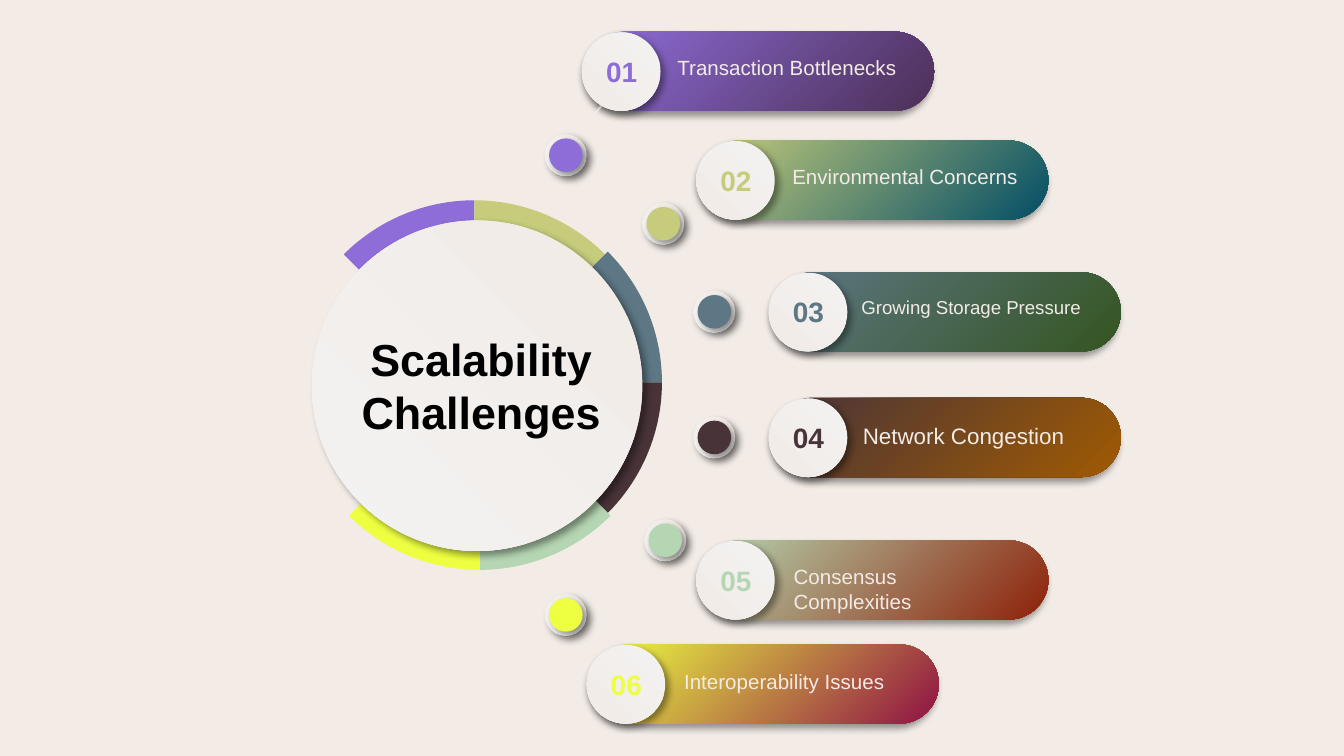
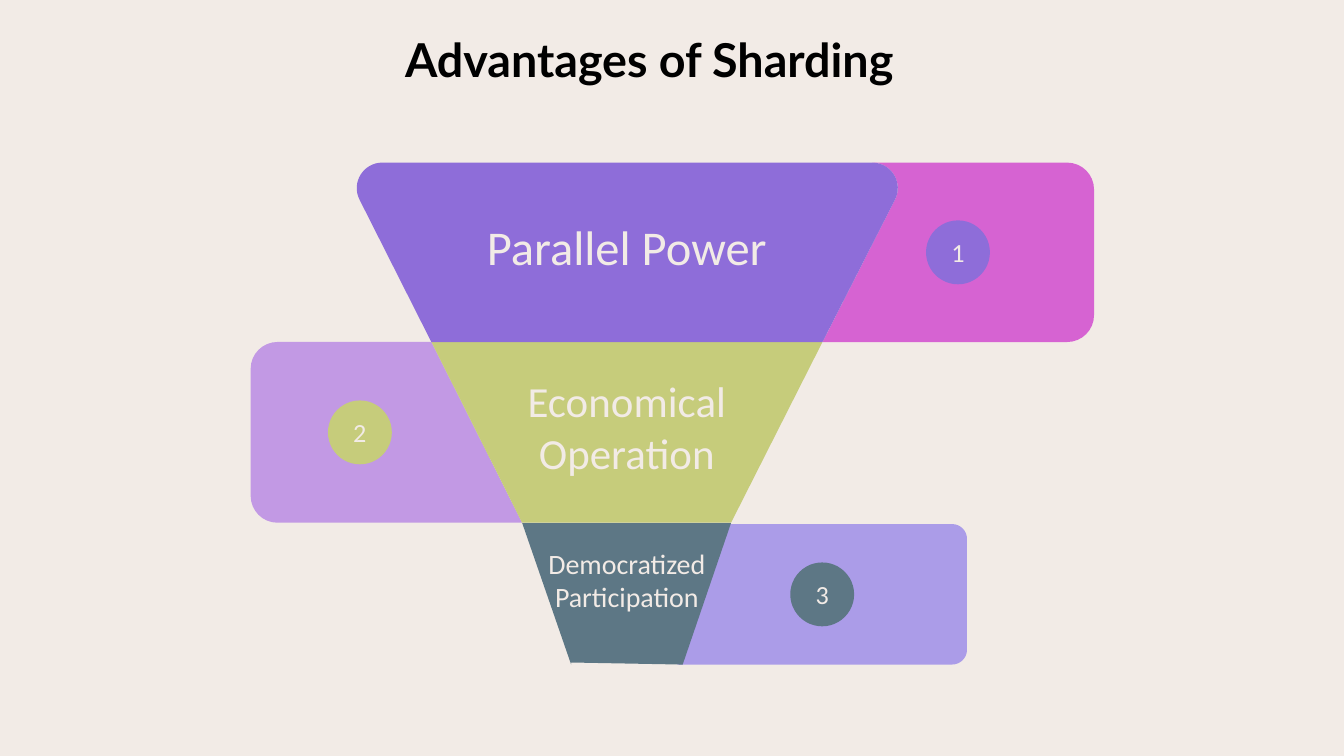
import math

import lxml.etree
import pptx
import pptx.dml.color
import pptx.enum.shapes
import pptx.enum.text
import pptx.oxml.ns
import pptx.util

COLORS = {
    "paper": "F2EBE6", "mist": "F2F2F2", "black": "000000",
    "violet": "8E6DD9", "lime": "C6CC7B", "slate": "5D7785",
    "umber": "483338", "mint": "B5D6B2", "yellow": "EEFF41",
    "plum": "4C2F56", "petrol": "044E66", "forest": "345521",
    "amber": "9F5A03", "rust": "8D2109", "wine": "8F1245",
    "magenta": "D663D2", "lavender": "C299E4", "periwinkle": "AB9CE8",
}
RGB = {name: pptx.dml.color.RGBColor.from_string(c) for name, c in COLORS.items()}
SHAPE = pptx.enum.shapes.MSO_SHAPE
ALIGN = pptx.enum.text.PP_ALIGN
ANCHOR = pptx.enum.text.MSO_ANCHOR
qn = pptx.oxml.ns.qn

prs = pptx.Presentation()
prs.slide_width = pptx.util.Inches(10)
prs.slide_height = pptx.util.Inches(5.625)
CELL = prs.slide_width // 100  # square grid: 100 columns, 56.25 rows

bg = prs.slide_master.background.fill
bg.solid()
bg.fore_color.rgb = RGB["paper"]
title_only = prs.slide_layouts[5]


def draw(s, outline, fill, box=None, shadow=None):
    """Add a shape without a line.

    outline: a preset placed in box, or corners (x, y) and arcs (cx, cy, r, from, to).
    fill: a colour name, or (from, to, clockwise angle). shadow: its direction.
    """
    if box:
        sp = s.shapes.add_shape(outline, *[round(v * CELL) for v in box])
    else:
        pts, arcs = [], []
        for corner in outline:
            if len(corner) == 2:
                pts.append(corner)
                continue
            cx, cy, r, a0, a1 = corner
            a0, a1 = math.radians(a0), math.radians(a1)
            k = 4 / 3 * math.tan((a1 - a0) / 4)  # handle length of a cubic arc
            arcs.append(len(pts))
            for a, h in ((a0, 0), (a0, k), (a1, -k), (a1, 0)):
                pts.append((cx + r * (math.cos(a) - h * math.sin(a)),
                            cy + r * (math.sin(a) + h * math.cos(a))))
        pts = [(round(x * CELL), round(y * CELL)) for x, y in pts]
        fb = s.shapes.build_freeform(*pts[0])
        fb.add_line_segments(pts[1:], close=True)
        sp = fb.convert_to_shape()
        steps = list(sp._element.find(".//" + qn("a:path")))
        for first in arcs:
            curve = lxml.etree.Element(qn("a:cubicBezTo"))
            steps[first].addnext(curve)
            for step in steps[first + 1:first + 4]:
                curve.append(step[0])
                step.getparent().remove(step)
    if isinstance(fill, tuple):
        sp.fill.gradient()
        sp.fill.gradient_angle = 360 - fill[2]
        for stop, name in zip(sp.fill.gradient_stops, fill):
            stop.color.rgb = RGB[name]
    elif fill:
        sp.fill.solid()
        sp.fill.fore_color.rgb = RGB[fill]
    else:
        sp.fill.background()
    sp.line.fill.background()
    sp.shadow.inherit = False
    if shadow is not None:
        effects = sp._element.spPr.find(qn("a:effectLst"))
        outer = lxml.etree.SubElement(
            effects, qn("a:outerShdw"), blurRad=str(pptx.util.Pt(4)),
            dist=str(pptx.util.Pt(3)), dir=str(shadow * 60000), algn="tl", rotWithShape="0")
        clr = lxml.etree.SubElement(outer, qn("a:srgbClr"), val=COLORS["black"])
        lxml.etree.SubElement(clr, qn("a:alpha"), val="40000")
    return sp


def write(sp, text, size, font, color="paper", box=None, bold=False,
          align=ALIGN.CENTER, anchor=ANCHOR.TOP):
    """Put one formatted run into a shape, moving the shape to box if given."""
    if box:
        sp.left, sp.top, sp.width, sp.height = [round(v * CELL) for v in box]
    tf = sp.text_frame
    tf.word_wrap = True
    tf.auto_size = pptx.enum.text.MSO_AUTO_SIZE.NONE
    tf.vertical_anchor = anchor
    tf.margin_left = tf.margin_right = pptx.util.Inches(0.07)
    tf.margin_top = tf.margin_bottom = pptx.util.Inches(0.04)
    p = tf.paragraphs[0]
    p.alignment = align
    r = p.add_run()
    r.text = text
    r.font.size = pptx.util.Pt(size)
    r.font.name = font
    r.font.bold = bold
    r.font.color.rgb = RGB[color]
    return p


# Slide 1: ring of six challenges
s = prs.slides.add_slide(title_only)
tree = s.shapes._spTree
# label, size, label box, colour, gradient end, pill corner, dot centre, line start and end
challenges = [
    ("Transaction Bottlenecks", 11, (49.7, 3.7, 18.3, 2.6), "violet", "plum",
     (43.6, 2.35), (42.1, 11.55), (42, 11.2, 45.3, 7.2)),
    ("Environmental Concerns", 11, (58.25, 11.8, 18.3, 2.6), "lime", "petrol",
     (52.1, 10.45), (49.35, 16.65), (49.9, 16.2, 52.7, 13.6)),
    ("Growing Storage Pressure", 10, (63.4, 21.6, 18.4, 2.4), "slate", "forest",
     (57.5, 20.25), (53.15, 23.2), (53.2, 23.2, 57.9, 23.2)),
    ("Network Congestion", 12, (63.5, 31, 18.3, 2.8), "umber", "amber",
     (57.5, 29.6), (53.15, 32.55), (53.2, 32.6, 57.9, 32.6)),
    ("Consensus Complexities", 11, (58.35, 41.6, 17.5, 2.6), "mint", "rust",
     (52.1, 40.2), (49.5, 40.2), (53.2, 43.7, 50.4, 41.1)),
    ("Interoperability Issues", 11, (50.2, 49.4, 18.3, 2.6), "yellow", "wine",
     (43.95, 47.95), (42.1, 45.75), (45.3, 49.8, 42, 45.8)),
]
knob = ("paper", "mist", 135)
badge = ("mist", "paper", 135)

for row in challenges:
    cx = s.shapes.add_connector(pptx.enum.shapes.MSO_CONNECTOR.STRAIGHT,
                                *[round(v * CELL) for v in row[-1]])
    cx.line.color.rgb = RGB["paper"]
    cx.line.width = pptx.util.Pt(1)
    lxml.etree.SubElement(cx._element.spPr, qn("a:effectLst"))

hubs = [(35.3, 28.65), (35.5, 28.45), (35.7, 28.65)]  # each shared by two sectors
for i, row in enumerate(challenges):
    hub, start = hubs[i // 2], -135 + 45 * i
    draw(s, [hub, (*hub, 13.75, start, start + 45)], row[3])
draw(s, SHAPE.OVAL, knob, (23.2, 16.4, 24.6, 24.6), 45)

orbit = draw(s, SHAPE.ARC, None, (17.8, 10.3, 36.1, 36.1))
orbit.adjustments[0], orbit.adjustments[1] = 145.24, 74.04
orbit.line.color.rgb = RGB["paper"]
orbit.line.width = pptx.util.Pt(3)
for tag in ("a:headEnd", "a:tailEnd"):
    lxml.etree.SubElement(orbit.line._ln, qn(tag), type="oval")

for i, (label, size, box, color, end, (x, y), (dx, dy), line) in enumerate(challenges, 1):
    for d, fill in ((3.1, knob), (2.5, color)):
        draw(s, SHAPE.OVAL, fill, (dx - d / 2, dy - d / 2, d, d), 45)
    pill = draw(s, SHAPE.ROUNDED_RECTANGLE, (color, end, 45), (x, y, 25.9, 5.9), 120)
    pill.adjustments[0] = 0.5
    if i == 1:
        tree.insert(2, pill._element)  # the first pill lies behind its line
    draw(s, SHAPE.OVAL, badge, (x - 0.3, y + 0.05, 5.85, 5.85), 45)
    write(s.shapes.add_textbox(0, 0, 0, 0), f"{i:02}", 15, "Arial", color,
          (x + 0.7, y + 1.3, 3.9, 3.3), bold=True)
    write(s.shapes.add_textbox(0, 0, 0, 0), label, size, "Arial", box=box, align=ALIGN.LEFT)

title = s.shapes.title
write(title, "Scalability Challenges", 24, "Arial", "black", (25.5, 24.25, 20.6, 8.8), bold=True)
tree.append(title._element)  # bring in front of the disc

# Slide 2: funnel of three advantages
s = prs.slides.add_slide(title_only)
p = write(s.shapes.title, "Advantages of Sharding", 25, "Lato", "black",
          (2.95, 2.45, 90.7, 4.4), bold=True, anchor=ANCHOR.MIDDLE)
p.line_spacing = 0.9

top_right = (64.9, 14, 1.9, -90, 27)
wide_l, wide_r = (32.1, 25.45), (61.2, 25.45)
slim_l, slim_r = (38.85, 38.9), (54.4, 38.9)
funnel = [
    ("periwinkle", [(50.4, 49.45), (54, 39), (70.85, 40.1, 1.1, -90, 0),
                    (70.85, 48.35, 1.1, 0, 90)]),
    ("slate", [slim_l, slim_r, (50.8, 49.45), (42.5, 49.3), (42.5, 49.45)]),
    ("lavender", [slim_l, wide_l, (20.65, 27.45, 2, 270, 180), (20.65, 36.9, 2, 180, 90)]),
    ("lime", [wide_l, wide_r, slim_r, slim_l]),
    ("magenta", [top_right, wide_r, (79.4, 23.45, 2, 90, 0), (79.4, 14.1, 2, 0, -90)]),
    ("violet", [(28.45, 14, 1.9, 153, 270), top_right, wide_r, wide_l]),
]
for color, corners in funnel:
    draw(s, corners, color)

advantages = [
    ("Parallel Power", 26, (32.95, 15.75, 27.4, 6.1), "violet", (68.9, 16.4)),
    ("Economical Operation", 23, (35.5, 27.5, 22.3, 7.8), "lime", (24.4, 29.8)),
    ("Democratized Participation", 15, (38.85, 40.25, 15.6, 7.8), "slate", (58.8, 41.85)),
]
for i, (label, size, box, color, corner) in enumerate(advantages, 1):
    write(s.shapes.add_textbox(0, 0, 0, 0), label, size, "Calibri", box=box)
    disc = draw(s, SHAPE.OVAL, color, (*corner, 4.75, 4.75))
    write(disc, str(i), 14, "Calibri", anchor=ANCHOR.MIDDLE)

prs.save("out.pptx")
